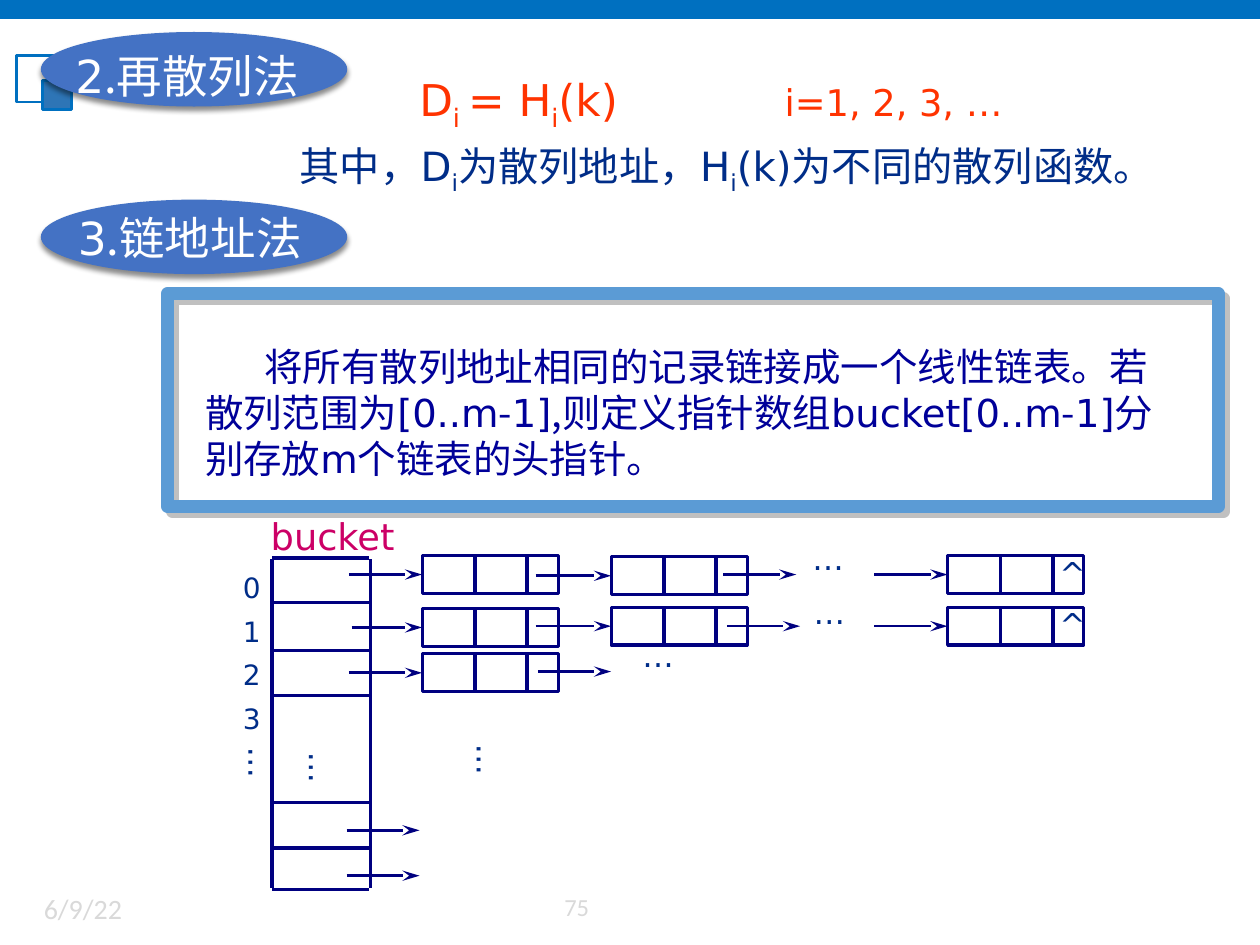
from dataclasses import dataclass

from lxml import etree
from pptx import Presentation
from pptx.dml.color import RGBColor
from pptx.enum.shapes import MSO_CONNECTOR, MSO_SHAPE
from pptx.oxml.ns import qn
from pptx.util import Inches, Pt

RECTANGLE = MSO_SHAPE.RECTANGLE
OVAL = MSO_SHAPE.OVAL
STRAIGHT = MSO_CONNECTOR.STRAIGHT


@dataclass(frozen=True)
class Theme:
    """Colours, fonts and type sizes of the slide."""

    bar: str = "0070C0"
    accent: str = "2E75B6"
    oval: str = "4472C4"
    frame: str = "5B9BD5"
    frame_shadow: str = "C0C0C0"
    shadow: str = "000000"
    white: str = "FFFFFF"
    formula: str = "FF3300"
    note: str = "002D88"
    body: str = "000099"
    diagram: str = "000080"
    bucket: str = "CC0066"
    footer: str = "D9D9D9"
    latin: str = "DejaVu Sans"
    chinese: str = "Noto Sans CJK SC"
    footer_font: str = "Calibri"
    heading_size: int = 26
    formula_size: int = 25
    note_size: int = 23
    body_size: int = 22
    label_size: int = 21
    dots_size: int = 18
    index_size: int = 16
    page_size: int = 14


THEME = Theme()


def add_span(para, text, size, color, font=THEME.latin, subscript=False):
    """Append one formatted run."""
    span = para.add_run()
    span.text = text
    span.font.size = Pt(size)
    span.font.color.rgb = RGBColor.from_string(color)
    span.font.name = font
    east_asian = etree.SubElement(span._r.get_or_add_rPr(), qn("a:ea"))
    east_asian.set("typeface", font)
    if subscript:
        span._r.get_or_add_rPr().set("baseline", "-25000")


def add_box(page, left, top, width, height, rotation=0):
    """Add an empty wrapping text box and return its text frame."""
    box = page.shapes.add_textbox(Inches(left), Inches(top), Inches(width), Inches(height))
    box.rotation = rotation
    box.text_frame.word_wrap = True
    return box.text_frame


def add_label(page, place, text, size, color=THEME.note, font=THEME.latin, rotation=0):
    """Add a text box holding a single run."""
    frame = add_box(page, *place, rotation=rotation)
    add_span(frame.paragraphs[0], text, size, color, font)


def add_mixed(page, place, spans, size, color):
    """Add a paragraph of (text, kind) pairs; kind is zh, en or sub."""
    para = add_box(page, *place).paragraphs[0]
    para.line_spacing = Pt(round(size * 1.2, 1))
    for text, kind in spans:
        font = THEME.chinese if kind == "zh" else THEME.latin
        add_span(para, text, size, color, font, kind == "sub")
    return para


def add_shape(page, kind, place, fill=None, line=None, weight=1.5):
    """Add a preset shape without shadow."""
    shape = page.shapes.add_shape(kind, *map(Inches, place))
    shape.shadow.inherit = False
    if fill:
        shape.fill.solid()
        shape.fill.fore_color.rgb = RGBColor.from_string(fill)
    else:
        shape.fill.background()
    if line:
        shape.line.color.rgb = RGBColor.from_string(line)
        shape.line.width = Pt(weight)
    else:
        shape.line.fill.background()
    return shape


def add_shadow(shape, color, opacity, blur, distance, angle):
    """Give a shape an outer shadow, with lengths in points."""
    effects = shape._element.spPr.find(qn("a:effectLst"))
    outer = etree.SubElement(effects, qn("a:outerShdw"))
    outer.set("blurRad", str(Pt(blur)))
    outer.set("dist", str(Pt(distance)))
    outer.set("dir", str(angle * 60000))
    outer.set("algn", "ctr")
    outer.set("rotWithShape", "0")
    shade = etree.SubElement(outer, qn("a:srgbClr"), val=color)
    etree.SubElement(shade, qn("a:alpha"), val=str(opacity * 1000))


def add_line(page, start, end, weight):
    """Add a straight diagram line."""
    line = page.shapes.add_connector(STRAIGHT, *map(Inches, (*start, *end)))
    line.line.color.rgb = RGBColor.from_string(THEME.diagram)
    line.line.width = Pt(weight)
    etree.SubElement(line._element.spPr, qn("a:effectLst"))
    return line


def add_arrow(page, left, middle, target=None):
    """Add a pointer arrow, joined to the left side of a target cell if given."""
    line = add_line(page, (left, middle), (left + 0.58, middle), 1.5)
    line.line._get_or_add_ln().append(
        etree.Element(qn("a:tailEnd"), type="stealth", w="med", len="lg"))
    if target is not None:
        line.end_connect(target, 1)


def add_node(page, left, top):
    """Add a three-cell list node and return its first cell."""
    cells = [add_shape(page, RECTANGLE, (left + shift, top, width, 0.3),
                       line=THEME.diagram, weight=1.75)
             for shift, width in ((0, 0.42), (0.42, 0.42), (0.83, 0.25))]
    return cells[0]


def add_heading(page, top, text_left, text_top, number, title):
    """Add an oval section heading."""
    oval = add_shape(page, OVAL, (0.33, top, 2.42, 0.58), THEME.oval, THEME.oval, 0.79)
    add_shadow(oval, THEME.shadow, 45, 3, 2.4, 90)
    add_mixed(page, (text_left, text_top, 2.5, 0.53),
              [(number, "en"), (title, "zh")], THEME.heading_size, THEME.white)


def add_formula(page):
    """Add the rehash formula, its index range and the explanation."""
    para = add_box(page, 3.23, 0.53, 5.26, 0.52).paragraphs[0]
    stops = etree.SubElement(para._p.get_or_add_pPr(), qn("a:tabLst"))
    etree.SubElement(stops, qn("a:tab"), pos=str(Inches(2.9)), algn="l")
    for text, subscript in (("D", False), ("i ", True), ("= H", False),
                            ("i", True), ("(k)", False)):
        add_span(para, text, THEME.formula_size, THEME.formula, subscript=subscript)
    add_span(para, "\ti=1, 2, 3, …", THEME.label_size, THEME.formula)
    add_mixed(page, (2.28, 1.12, 7.5, 0.48),
              [("其中，", "zh"), ("D", "en"), ("i", "sub"), ("为散列地址，", "zh"),
               ("H", "en"), ("i", "sub"), ("(k)", "en"), ("为不同的散列函数。", "zh")],
              THEME.note_size, THEME.note)


def add_definition(page):
    """Add the framed description of chaining."""
    frame = add_shape(page, RECTANGLE, (1.33, 2.33, 8.34, 1.69), line=THEME.frame, weight=7.25)
    add_shadow(frame, THEME.frame_shadow, 100, 0, 4.2, 45)
    bounds = [("[0..m", "en"), ("-", "zh"), ("1]", "en")]
    para = add_mixed(
        page, (1.53, 2.67, 7.9, 1.21),
        [("将所有散列地址相同的记录链接成一个线性链表。若散列范围为", "zh"), *bounds,
         (",则定义指针数组", "zh"), ("bucket", "en"), *bounds,
         ("分别存放", "zh"), ("m", "en"), ("个链表的头指针。", "zh")],
        THEME.body_size, THEME.body)
    para._p.get_or_add_pPr().set("indent", str(Inches(0.47)))


def add_buckets(page):
    """Add the pointer array with its name and indexes."""
    for height in (4.43, 4.78, 5.16, 5.52, 6.37, 6.73, 7.06):
        add_line(page, (2.16, height), (2.93, height), 2 if height in (4.43, 7.06) else 1.75)
    for left in (2.16, 2.94):
        add_line(page, (left, 4.44), (left, 7.05), 2)
    add_label(page, (2.05, 4.03, 1.58, 0.45), "bucket", THEME.label_size, THEME.bucket)
    indexes = add_box(page, 1.83, 4.4, 0.35, 1.84)
    for number in range(4):
        para = indexes.add_paragraph() if number else indexes.paragraphs[0]
        para.line_spacing = 1.3
        add_span(para, str(number), THEME.index_size, THEME.note)


def add_chains(page):
    """Add the linked lists, their pointers and the ellipses."""
    for left, top, pointer in ((3.35, 4.41, 2.77), (4.85, 4.42, 4.25), (7.52, 4.41, 6.94),
                               (3.35, 4.83, 2.79), (4.85, 4.82, 4.25), (7.52, 4.82, 6.94),
                               (3.35, 5.19, 2.77)):
        add_arrow(page, pointer, top + 0.15, add_node(page, left, top))
    for left, middle in ((5.74, 4.56), (5.77, 4.97), (4.27, 5.33), (2.75, 6.59), (2.75, 6.95)):
        add_arrow(page, left, middle)
    for left, top, rotation in ((6.35, 4.23, 0), (6.36, 4.66, 0), (5, 5, 0),
                                (2.17, 5.8, 270), (3.5, 5.74, 270), (1.69, 5.76, 270)):
        add_label(page, (left, top, 0.53, 0.5), "…", THEME.dots_size, rotation=rotation)
    for top in (4.35, 4.75):
        add_label(page, (8.31, top, 0.45, 0.5), "^", THEME.dots_size)


def main():
    """Build and save the slide."""
    deck = Presentation()
    deck.slide_width, deck.slide_height = Inches(10), Inches(7.5)
    page = deck.slides.add_slide(deck.slide_layouts[6])
    add_shape(page, RECTANGLE, (0, 0, 10, 0.15), THEME.bar)
    add_shape(page, RECTANGLE, (0.13, 0.44, 0.36, 0.37), line=THEME.bar)
    add_shape(page, RECTANGLE, (0.34, 0.64, 0.23, 0.23), THEME.accent, THEME.bar)
    add_label(page, (0.25, 7.03, 1.84, 0.4), "6/9/22", THEME.index_size,
              THEME.footer, THEME.footer_font)
    add_label(page, (4.38, 7.03, 0.62, 0.38), "75", THEME.page_size,
              THEME.footer, THEME.footer_font)
    add_heading(page, 0.26, 0.5, 0.33, "2", ".再散列法")
    add_formula(page)
    add_definition(page)
    add_buckets(page)
    add_chains(page)
    add_heading(page, 1.59, 0.52, 1.62, "3", ".链地址法")
    deck.save("out.pptx")


if __name__ == "__main__":
    main()
